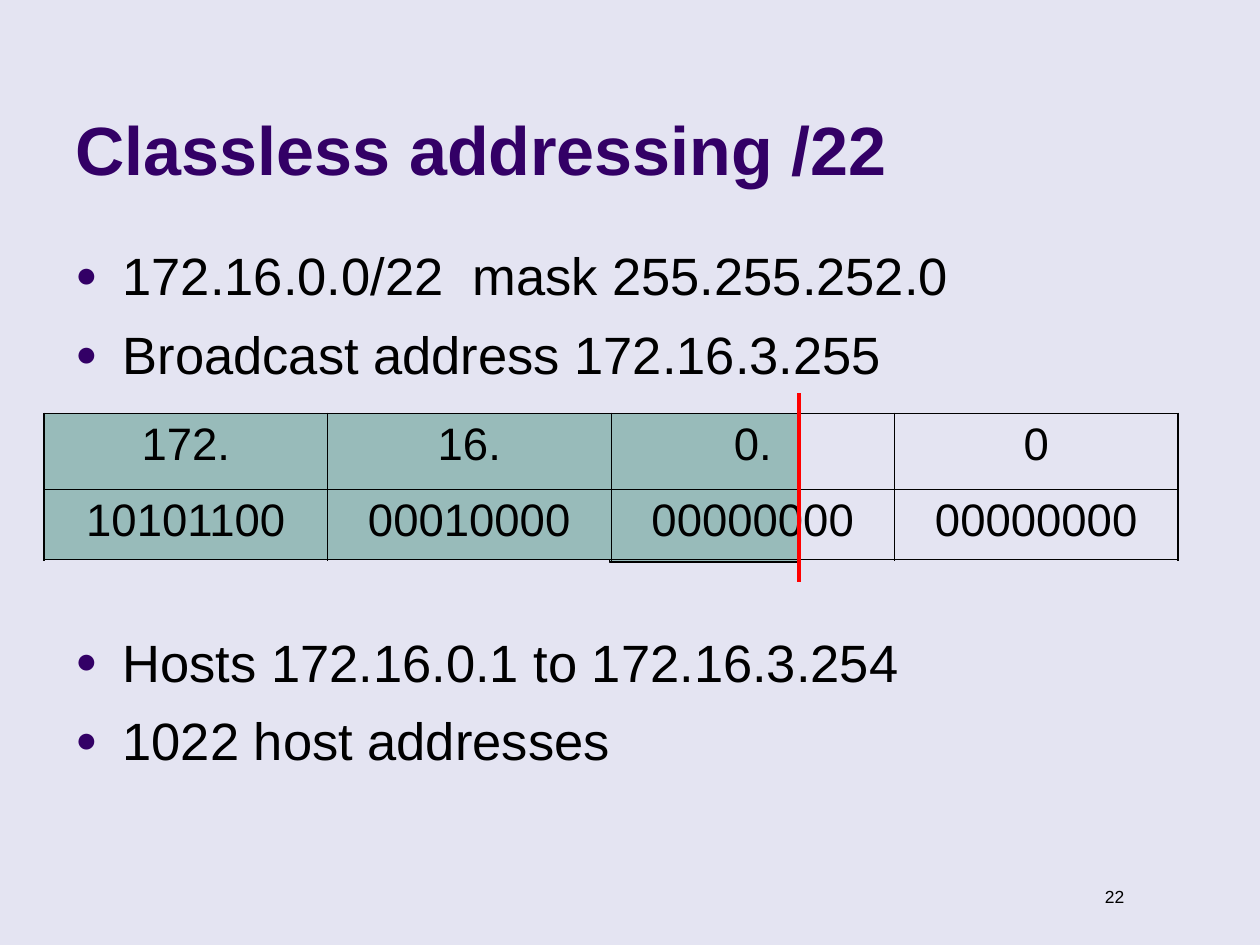
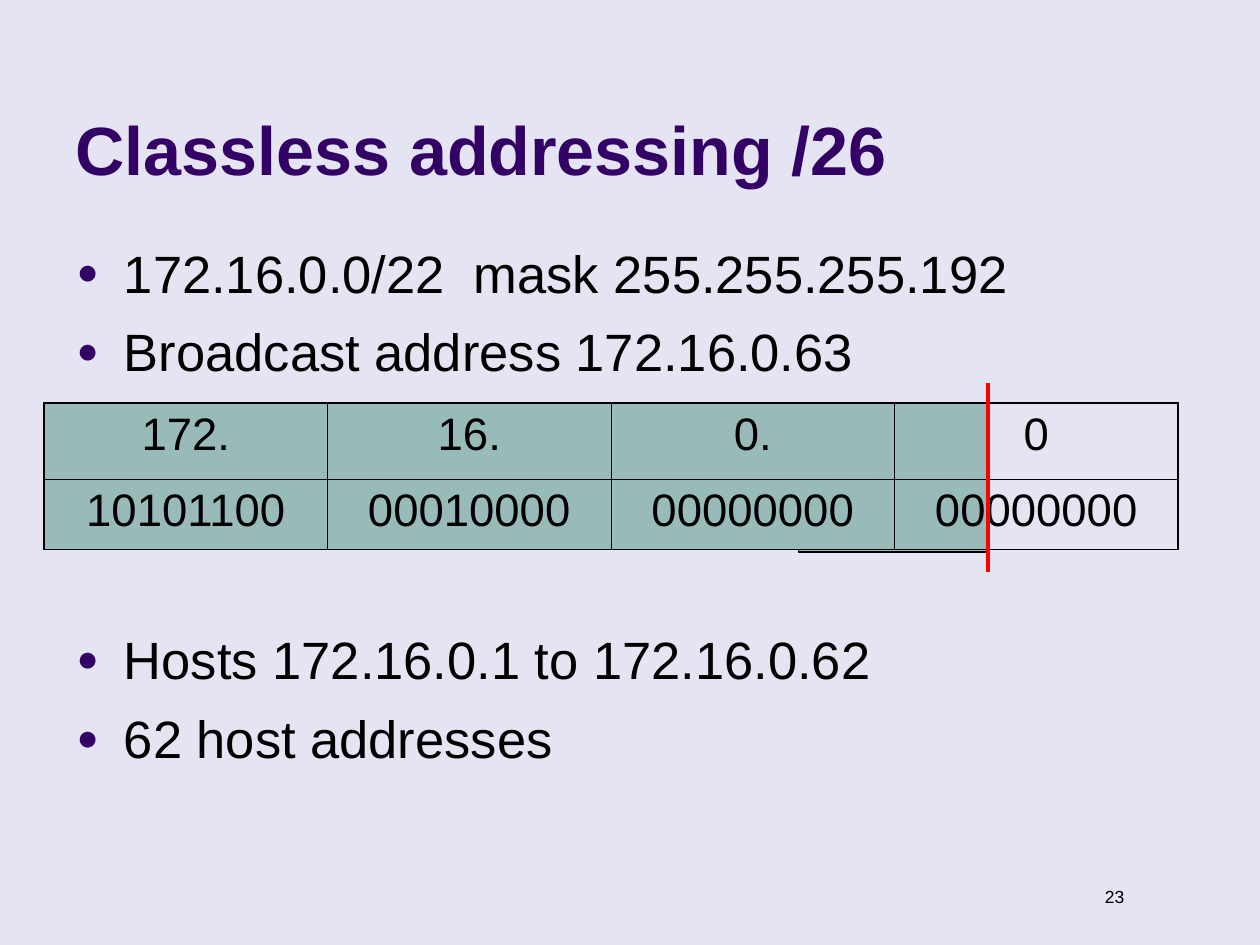
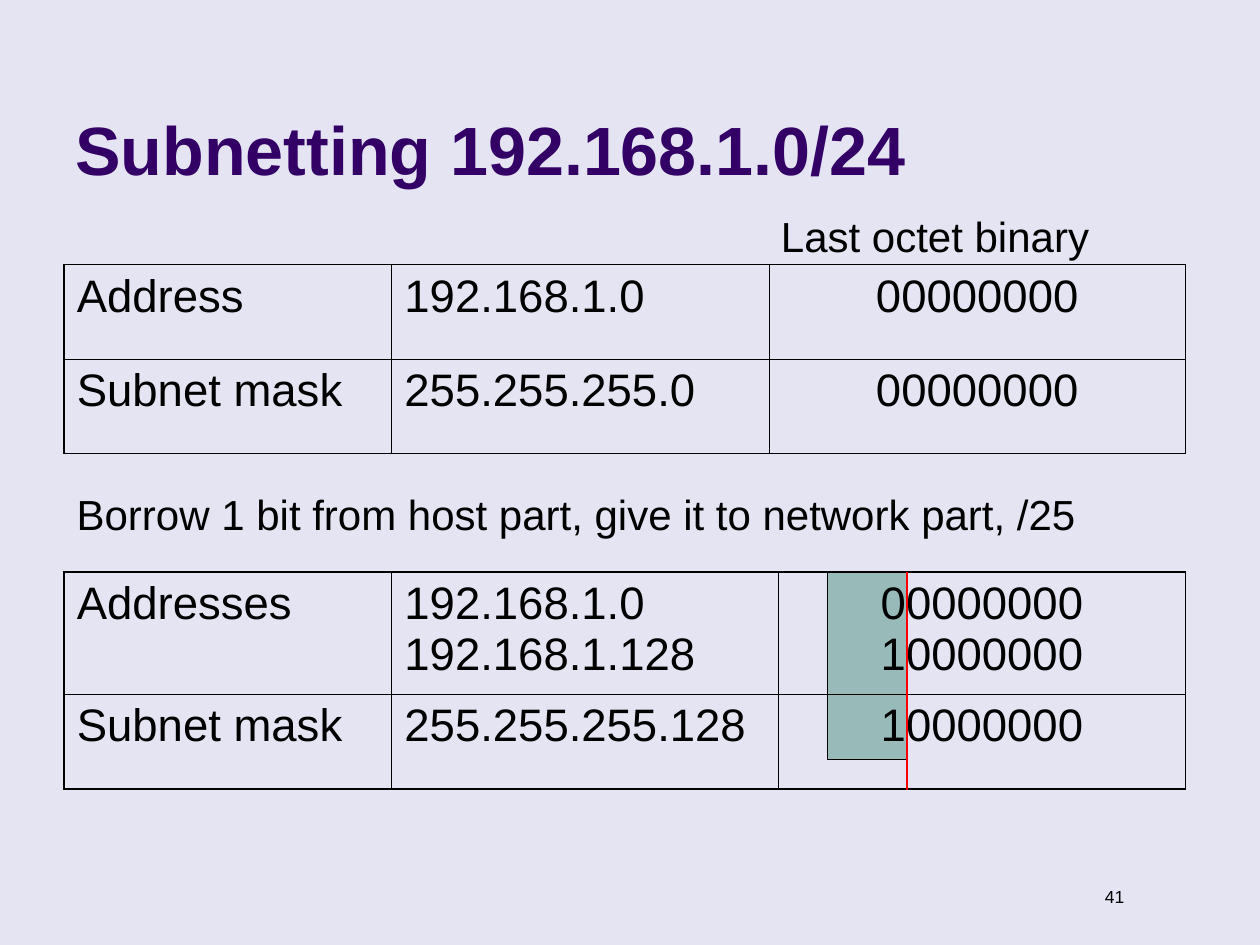
import lxml.etree
import pptx
import pptx.dml.color
import pptx.enum.shapes
import pptx.enum.text
import pptx.oxml.ns
import pptx.util

Pt = pptx.util.Pt
ALIGN = pptx.enum.text.PP_ALIGN
ANCHOR = pptx.enum.text.MSO_ANCHOR
FONT = "Arial"
INK, PURPLE, TEAL, RED, PAPER = "000000", "330066", "98BBBA", "FF0000", "E4E4F2"
OUTER, INNER = 1.08, 0.45
TITLE = {"size": 39, "color": PURPLE, "bold": True}
BODY = {"size": 30, "before": 9}
CELL = {"size": 26, "before": 6.5}
LABEL = {"size": 24, "before": 15}
NUMBER = {"size": 10, "align": ALIGN.RIGHT}
BULLET_INDENT = 27
BULLET_GAP = 139.8


def rgb(value):
    """Turn a hex string into a colour."""
    return pptx.dml.color.RGBColor.from_string(value)


def add_node(parent, tag, **values):
    """Append a DrawingML element with its attributes."""
    node = lxml.etree.SubElement(parent, pptx.oxml.ns.qn("a:" + tag))
    for name, value in values.items():
        node.set(name, str(value))
    return node


def write(para, text, size, color=INK, bold=False, align=ALIGN.LEFT, before=0):
    """Fill a paragraph with text in one format."""
    para.text = text
    for name, value in {"alignment": align, "space_before": Pt(before)}.items():
        setattr(para, name, value)
    for span in para.runs:
        for name, value in {"name": FONT, "size": Pt(size), "bold": bold}.items():
            setattr(span.font, name, value)
        span.font.color.rgb = rgb(color)


def add_text(page, box, text, style, anchor=ANCHOR.TOP):
    """Place a wrapped text box and return its frame."""
    frame = page.shapes.add_textbox(*map(Pt, box)).text_frame
    for name, value in {"word_wrap": True, "vertical_anchor": anchor}.items():
        setattr(frame, name, value)
    write(frame.paragraphs[0], text, **style)
    return frame


def add_bullet(para):
    """Give a paragraph a hanging round bullet."""
    props = para._p.get_or_add_pPr()
    props.set("marL", str(Pt(BULLET_INDENT)))
    props.set("indent", str(-Pt(BULLET_INDENT)))
    add_node(add_node(props, "buClr"), "srgbClr", val=PURPLE)
    add_node(props, "buSzPct", val=70000)
    add_node(props, "buFont", typeface=FONT)
    add_node(props, "buChar", char="●")


def add_bullets(page, box, above, below):
    """List bullets in two groups with room for a table between them."""
    frame = add_text(page, box, above[0], BODY)
    for text in above[1:] + below:
        before = BULLET_GAP if text == below[0] else BODY["before"]
        write(frame.add_paragraph(), text, **{**BODY, "before": before})
    for para in frame.paragraphs:
        add_bullet(para)


def add_borders(cell, widths):
    """Draw the left, right, top and bottom borders of a cell."""
    props = cell._tc.get_or_add_tcPr()
    for side, width in zip("LRTB", widths):
        line = add_node(props, "ln" + side, w=int(Pt(width)))
        add_node(add_node(line, "solidFill"), "srgbClr", val=INK)


def add_grid(page, left, top, widths, heights, rows, centred, filled=0):
    """Place a bordered table with some centred and some filled columns."""
    box = map(Pt, (left, top, sum(widths), sum(heights)))
    table = page.shapes.add_table(len(rows), len(widths), *box).table
    table.first_row = table.horz_banding = False
    for column, width in zip(table.columns, widths):
        column.width = Pt(width)
    for row, height in zip(table.rows, heights):
        row.height = Pt(height)
    last_row, last_column = len(rows) - 1, len(widths) - 1
    for y, texts in enumerate(rows):
        for x, text in enumerate(texts):
            cell = table.cell(y, x)
            edges = (x == 0, x == last_column, y == 0, y == last_row)
            add_borders(cell, [OUTER if edge else INNER for edge in edges])
            if x < filled:
                cell.fill.solid()
                cell.fill.fore_color.rgb = rgb(TEAL)
            else:
                cell.fill.background()
            align = ALIGN.CENTER if x in centred else ALIGN.LEFT
            write(cell.text_frame.paragraphs[0], text, align=align, **CELL)


def add_network_part(page, box):
    """Shade the network bits of a split octet."""
    shape = page.shapes.add_shape(pptx.enum.shapes.MSO_SHAPE.RECTANGLE, *map(Pt, box))
    shape.shadow.inherit = False
    shape.fill.solid()
    shape.fill.fore_color.rgb = rgb(TEAL)
    shape.line.color.rgb = rgb(INK)
    shape.line.width = Pt(0.74)


def add_split(page, x, top, height, width):
    """Draw the red line between network and host bits."""
    kind = pptx.enum.shapes.MSO_CONNECTOR.STRAIGHT
    line = page.shapes.add_connector(kind, *map(Pt, (x, top, x, top + height)))
    line.line.color.rgb = rgb(RED)
    line.line.width = Pt(width)
    add_node(line._element.spPr, "effectLst")


def add_page(deck, title, number):
    """Start a page with background, title and page number."""
    page = deck.slides.add_slide(deck.slide_layouts[6])
    page.background.fill.solid()
    page.background.fill.fore_color.rgb = rgb(PAPER)
    add_text(page, (604, 502.5, 45.5, 19.5), number, NUMBER)
    add_text(page, (36, 9.4, 594, 102.2), title, TITLE, ANCHOR.BOTTOM)
    return page


def add_classless_page(deck, title, number, corner, above, below, top, split, filled):
    """Build a page on one classless prefix with its octet table."""
    page = add_page(deck, title, number)
    add_network_part(page, (split - 108, top, 108, 85))
    add_bullets(page, (*corner, 648, 347), above, below)
    rows = [
        ["172.", "16.", "0.", "0"],
        ["10101100", "00010000", "00000000", "00000000"],
    ]
    add_grid(page, 25.2, top, [162] * 4, [43.4, 40.2], rows, range(4), filled)
    add_split(page, split, top - 11.5, 108, 2.24)


def add_subnet_page(deck, title, number):
    """Build the page that borrows one bit for subnets."""
    page = add_page(deck, title, number)
    left, top = 36.7, 326.9
    add_network_part(page, (473, top, 45.4, 107.3))
    before = [
        ["Address", "192.168.1.0", "00000000"],
        ["Subnet mask", "255.255.255.0", "00000000"],
    ]
    after = [
        ["Addresses", "192.168.1.0\v192.168.1.128", "00000000\v10000000"],
        ["Subnet mask", "255.255.255.128", "10000000"],
    ]
    add_grid(page, left, 151.2, [187.2, 215.6, 238], [54, 54], before, [2])
    add_text(page, (439.2, 116.6, 198.7, 36), "Last octet binary", LABEL)
    note = "Borrow 1 bit from host part, give it to network part, /25"
    add_text(page, (left, 275.8, 635, 36), note, LABEL)
    add_grid(page, left, top, [187.2, 221, 232.6], [69.8, 54], after, [2])
    add_split(page, 518.4, top, 124.5, 0.99)


def main():
    """Build and save the deck."""
    deck = pptx.Presentation()
    deck.slide_width, deck.slide_height = Pt(720), Pt(540)
    add_classless_page(
        deck, "Classless addressing /22", "22", (36, 135.4),
        ["172.16.0.0/22  mask 255.255.252.0", "Broadcast address 172.16.3.255"],
        ["Hosts 172.16.0.1 to 172.16.3.254", "1022 host addresses"],
        top=236.2, split=456.5, filled=2)
    add_classless_page(
        deck, "Classless addressing /26", "23", (36.7, 134),
        ["172.16.0.0/22  mask 255.255.255.192", "Broadcast address 172.16.0.63"],
        ["Hosts 172.16.0.1 to 172.16.0.62", "62 host addresses"],
        top=230.4, split=564.5, filled=3)
    add_subnet_page(deck, "Subnetting 192.168.1.0/24", "41")
    deck.save("out.pptx")


main()
